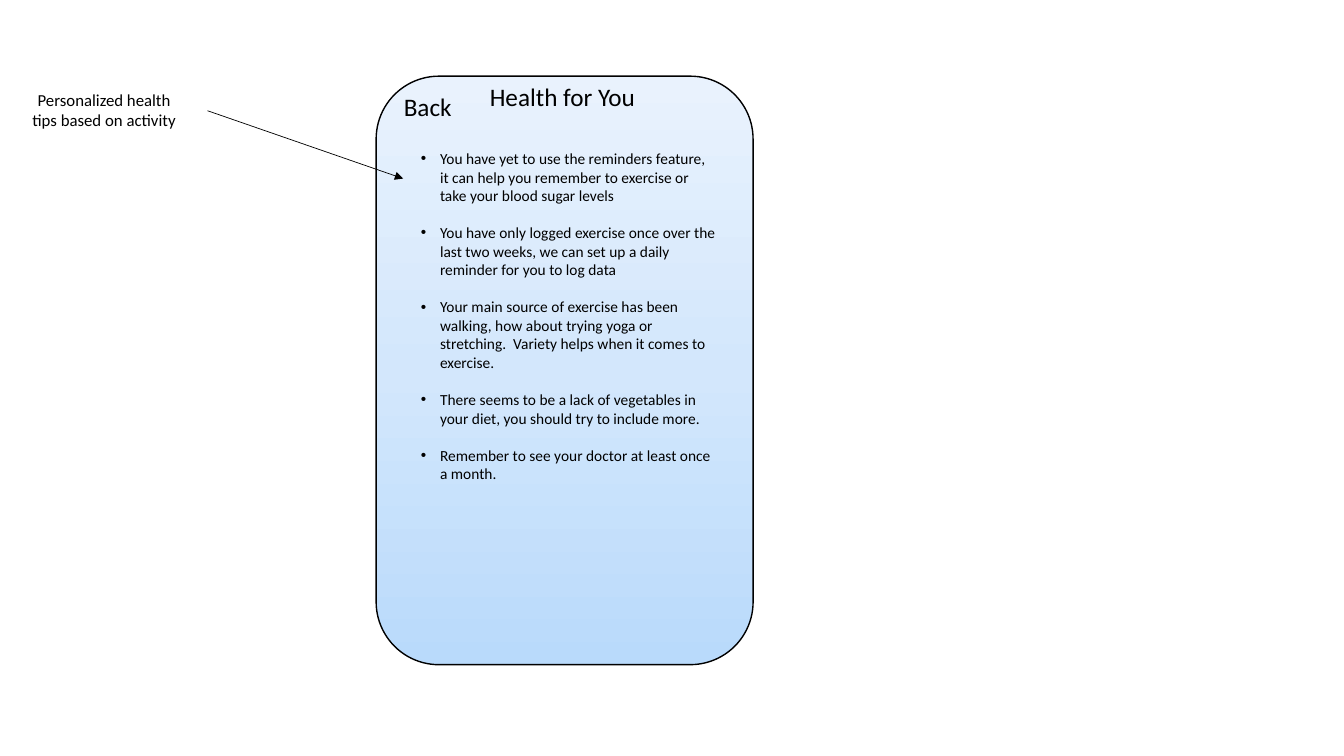
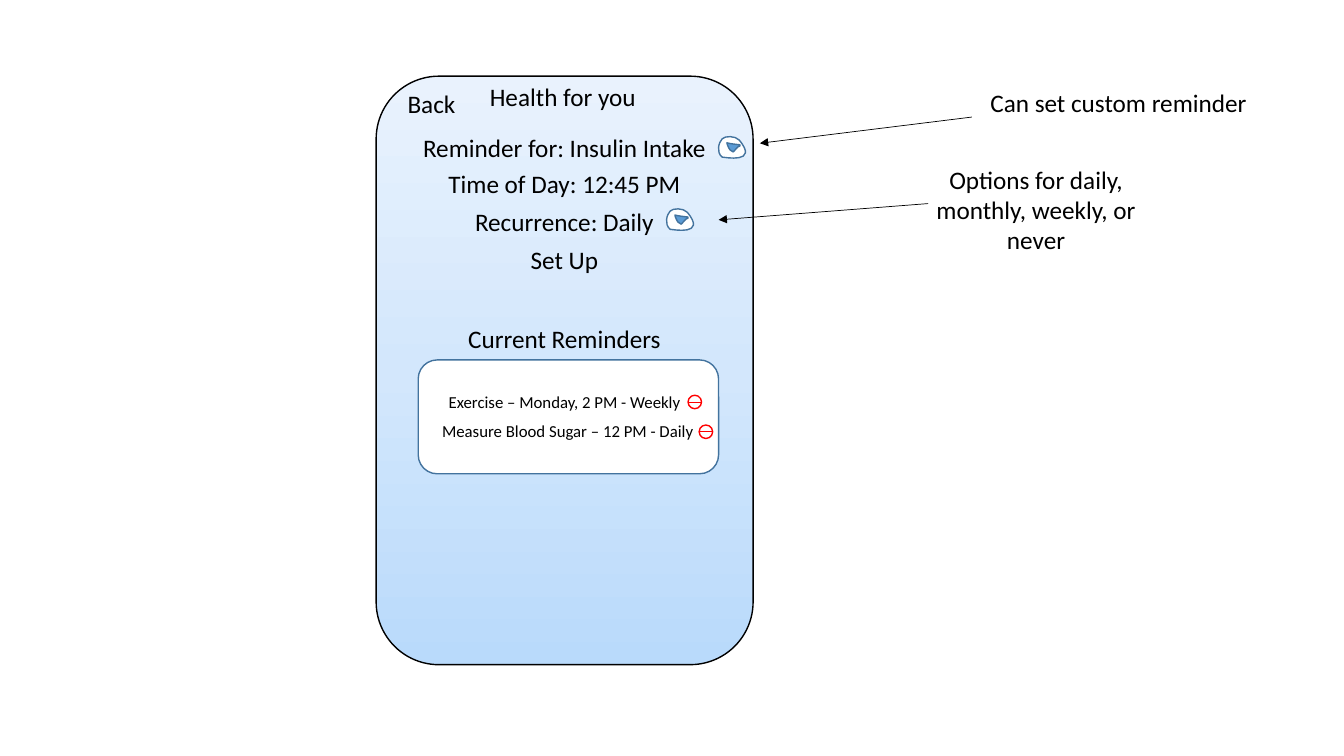
import copy

import pptx
import pptx.dml.color
import pptx.enum.shapes
import pptx.enum.text
import pptx.oxml
import pptx.oxml.ns
import pptx.util

Cm, Pt = pptx.util.Cm, pptx.util.Pt
qn, nsdecls = pptx.oxml.ns.qn, pptx.oxml.ns.nsdecls
SHAPE = pptx.enum.shapes.MSO_SHAPE
LEFT, CENTER = pptx.enum.text.PP_ALIGN.LEFT, pptx.enum.text.PP_ALIGN.CENTER

FONT = "Calibri"
COLORS = {
    "text": "000000", "outline": "43739E", "white": "FFFFFF",
    "arrow": "5B9BD5", "delete": "FF0000",
    "phone_low": "B9DAFB", "phone_mid": "D3E7FC", "phone_high": "E9F2FD",
}
PHONE = (9.48, 1.92, 9.5, 14.83)

TIPS = [
    "You have yet to use the reminders feature, it can help you remember to "
    "exercise or take your blood sugar levels",
    "You have only logged exercise once over the last two weeks, we can set up "
    "a daily reminder for you to log data",
    "Your main source of exercise has been walking, how about trying yoga or "
    "stretching.  Variety helps when it comes to exercise.",
    "There seems to be a lack of vegetables in your diet, you should try to "
    "include more.",
    "Remember to see your doctor at least once a month.",
]
# Text, then top and width in the form; every row is centred
FORM_ROWS = [
    ("Reminder for: Insulin Intake", 0, 7.75),
    ("Time of Day: 12:45 PM", 0.92, 7.75),
    ("Recurrence: Daily", 1.88, 7.75),
    ("Set Up", 2.84, 3.84),
    ("Current Reminders", 4.83, 6.6),
]
# Text, text box (left, top, width) and delete icon (left, top) in the list
REMINDERS = [
    ("Exercise – Monday, 2 PM - Weekly", (0.45, 0.67, 6.48), (6.8, 0.89)),
    ("Measure Blood Sugar – 12 PM - Daily", (0.33, 1.4, 6.88), (7.08, 1.64)),
]
# Start point, then cubic segments (two controls and an end)
DROPDOWN_BODY = [(0.08, 0.05),
                 (0.15, -0.03), (0.41, -0.03), (0.51, 0.08),
                 (1.02, 0.69), (0.13, 0.51), (0.08, 0.51),
                 (-0.08, 0.38), (0, 0.13), (0.08, 0.05)]
DROPDOWN_ARROW = [(0, 0),
                  (0.03, 0), (0.1, 0.03), (0.16, 0.03),
                  (0.21, 0.05), (0.28, 0.03), (0.33, 0.05),
                  (0.36, 0.08), (0.31, 0.08), (0.28, 0.1),
                  (0.23, 0.15), (0.16, 0.23), (0.16, 0.23),
                  (0.13, 0.21), (0.1, 0.21), (0.08, 0.18),
                  (0.05, 0.15), (0, 0.03), (0, 0)]


def rgb(name):
    return pptx.dml.color.RGBColor.from_string(COLORS[name])


def style_shape(sp, fill, line):
    sp.shadow.inherit = False
    if fill:
        sp.fill.solid()
        sp.fill.fore_color.rgb = rgb(fill)
    sp.line.color.rgb = rgb(line)
    sp.line.width = Pt(1)


def add_run(p, text, size, align):
    p.alignment = align
    r = p.add_run()
    r.text = text
    r.font.name = FONT
    r.font.size = Pt(size)
    r.font.color.rgb = rgb("text")


def add_text(s, x, y, w, h, text, size=18, align=CENTER):
    tf = s.shapes.add_textbox(Cm(x), Cm(y), Cm(w), Cm(h)).text_frame
    tf.word_wrap = True
    add_run(tf.paragraphs[0], text, size, align)


def add_line(s, start, end, color="text", arrow=False):
    line = s.shapes.add_connector(pptx.enum.shapes.MSO_CONNECTOR.STRAIGHT,
                                  *[Cm(v) for v in (*start, *end)])
    line.line.color.rgb = rgb(color)
    line.line.width = Pt(0.5)
    if arrow:
        tail = pptx.oxml.parse_xml(
            f'<a:tailEnd {nsdecls("a")} type="triangle"/>')
        line.line._get_or_add_ln().append(tail)
    line._element.spPr.append(
        pptx.oxml.parse_xml(f'<a:effectLst {nsdecls("a")}/>'))


def add_callout(s, box, text, start, end, size=18, align=CENTER):
    """Add a note and the arrow that points from it into the phone."""
    add_text(s, *box, text, size, align)
    add_line(s, start, end, arrow=True)


def add_curved(s, x, y, w, h, points, fill):
    """Draw a closed outline of cubic curves, with points relative to the box."""
    builder = s.shapes.build_freeform(Cm(x), Cm(y))
    builder.add_line_segments([(Cm(x + w), Cm(y)), (Cm(x + w), Cm(y + h))])
    sp = builder.convert_to_shape()
    outline = next(sp._element.iter(qn("a:path")))
    pts = [f'<a:pt x="{Cm(px)}" y="{Cm(py)}"/>' for px, py in points]
    curves = "".join(f'<a:cubicBezTo>{"".join(pts[i:i + 3])}</a:cubicBezTo>'
                     for i in range(1, len(pts), 3))
    outline[:] = pptx.oxml.parse_xml(
        f'<a:path {nsdecls("a")}><a:moveTo>{pts[0]}</a:moveTo>'
        f'{curves}<a:close/></a:path>')[:]
    style_shape(sp, fill, "outline")


def add_dropdown(s, x, y):
    icon = s.shapes.add_group_shape()
    add_curved(icon, x, y, 0.66, 0.53, DROPDOWN_BODY, "white")
    add_curved(icon, x + 0.2, y + 0.15, 0.33, 0.23, DROPDOWN_ARROW, "arrow")


def add_delete_icon(s, x, y, size=0.34):
    icon = s.shapes.add_group_shape()
    sp = icon.shapes.add_shape(SHAPE.OVAL, Cm(x), Cm(y), Cm(size), Cm(size))
    style_shape(sp, "white", "delete")
    mid = y + size / 2
    add_line(icon, (x, mid), (x + size, mid), "delete")


def add_phone(s, box, title, back):
    """Draw the phone, its title and its Back label (left, top, width)."""
    x, y, w, h = box
    sp = s.shapes.add_shape(SHAPE.ROUNDED_RECTANGLE, Cm(x), Cm(y), Cm(w), Cm(h))
    style_shape(sp, None, "text")
    sp.fill.gradient()
    sp.fill.gradient_angle = 90
    stops = next(sp._element.iter(qn("a:gsLst")))
    stops.insert(1, copy.deepcopy(stops[0]))
    names = ("phone_low", "phone_mid", "phone_high")
    for i, (stop, name) in enumerate(zip(sp.fill.gradient_stops, names)):
        stop.position = i / 2
        stop.color.rgb = rgb(name)

    head = s.shapes.title
    s.shapes.element.append(head._element)  # in front of the phone
    head.left, head.top, head.width, head.height = (
        Cm(v) for v in (x + 2.61, y, 4.29, 1.02))
    tf = head.text_frame
    tf.auto_size = pptx.enum.text.MSO_AUTO_SIZE.NONE
    tf.vertical_anchor = pptx.enum.text.MSO_ANCHOR.TOP
    add_run(tf.paragraphs[0], title, 18, LEFT)

    dx, dy, back_w = back
    add_text(s, x + dx, y + dy, back_w, 1.02, "Back")


def add_tips(s, x, y, w, h):
    tf = s.shapes.add_textbox(Cm(x), Cm(y), Cm(w), Cm(h)).text_frame
    tf.word_wrap = True
    for i, tip in enumerate(TIPS):
        p = tf.add_paragraph() if i else tf.paragraphs[0]
        add_run(p, tip, 11, LEFT)
        p.space_after = Pt(13.3)
        pPr = p._p.get_or_add_pPr()
        pPr.set("marL", str(Cm(0.48)))
        pPr.set("indent", str(-Cm(0.48)))
        for tag, key, value in (("a:buFont", "typeface", "Arial"),
                                ("a:buChar", "char", "•")):
            pPr.append(pptx.oxml.parse_xml(
                f'<{tag} {nsdecls("a")} {key}="{value}"/>'))


def add_reminder_form(s, x, y, w):
    for text, dy, row_w in FORM_ROWS:
        add_text(s, x + (w - row_w) / 2, y + dy, row_w, 1.02, text)
    add_dropdown(s, x + 7.77, y + 0.25)
    add_dropdown(s, x + 6.46, y + 2.07)


def add_reminder_list(s, x, y, w, h):
    sp = s.shapes.add_shape(SHAPE.ROUNDED_RECTANGLE, Cm(x), Cm(y), Cm(w), Cm(h))
    style_shape(sp, "white", "outline")
    for text, (dx, dy, text_w), (icon_x, icon_y) in REMINDERS:
        add_text(s, x + dx, y + dy, text_w, 0.76, text, 12)
        add_delete_icon(s, x + icon_x, y + icon_y)


def build_tips_slide(s, box):
    x, y = box[:2]
    add_phone(s, box, "Health for You", (-0.34, 0.26, 3.28))
    add_tips(s, x + 0.88, y + 1.72, 7.95, 9.19)
    add_callout(s, (0.43, 2.13, 4.39, 1.27),
                "Personalized health tips based on activity",
                (5.23, 2.79), (10.16, 4.5), size=12)


def build_reminders_slide(s, box):
    x, y = box[:2]
    add_phone(s, box, "Health for you", (-0.51, 0.19, 3.81))
    add_reminder_form(s, x + 0.87, y + 1.28, 7.75)
    add_reminder_list(s, x + 1.06, y + 7.15, 7.57, 2.87)
    add_callout(s, (22.59, 4.01, 7.04, 2.57),
                "Options for daily, monthly, weekly, or never",
                (23.39, 5.13), (18.11, 5.54))
    add_callout(s, (24.71, 2.08, 7.04, 1.02), "Can set custom reminder",
                (24.49, 2.95), (19.15, 3.61), align=LEFT)


def main():
    prs = pptx.Presentation()
    prs.slide_width, prs.slide_height = Cm(33.87), Cm(19.05)
    for build in (build_tips_slide, build_reminders_slide):
        build(prs.slides.add_slide(prs.slide_layouts[5]), PHONE)
    prs.save("out.pptx")


if __name__ == "__main__":
    main()
